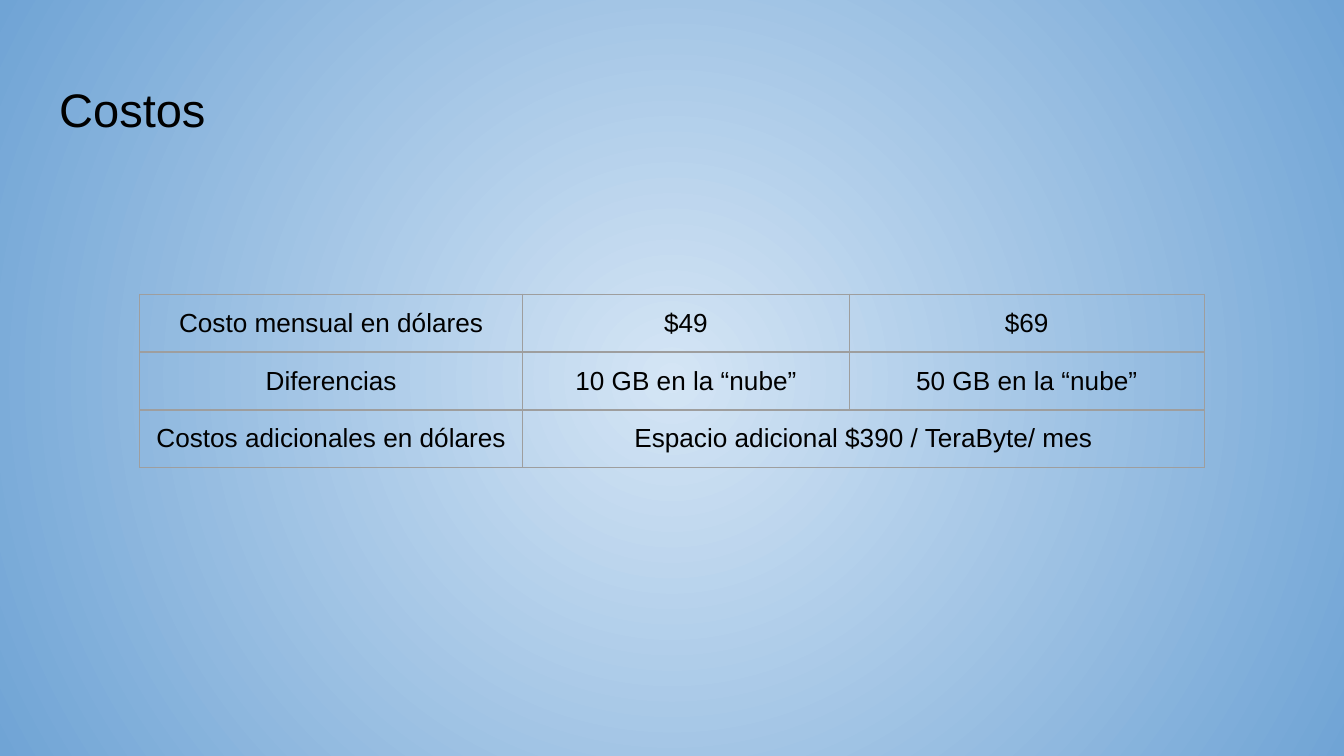
from lxml.etree import SubElement
from pptx import Presentation
from pptx.dml.color import RGBColor
from pptx.enum.text import MSO_ANCHOR as Anchor, PP_ALIGN as Align
from pptx.oxml.ns import qn
from pptx.util import Cm, Pt

COLORS = {"text": "000000", "border": "9E9E9E", "center": "D4E5F5", "edge": "70A4D5"}
COLUMN_WIDTHS = [7.24, 6.17, 6.71]
ROW_HEIGHT = 1.07
COSTS = [
    ["Costo mensual en dólares", "$49", "$69"],
    ["Diferencias", "10 GB en la “nube”", "50 GB en la “nube”"],
    ["Costos adicionales en dólares", "Espacio adicional $390 / TeraByte/ mes"],
]


class SlideBuilder:
    """Holds the style and the current slide."""

    font_name = "Arial"
    inset = Cm(0.25)
    border_width = Pt(0.75)

    def __init__(self, slide):
        self.slide = slide

    def color(self, name):
        return RGBColor.from_string(COLORS[name])

    def radial_background(self, center, edge):
        fill = self.slide.background.fill
        fill.gradient()
        for stop, name in zip(fill.gradient_stops, (center, edge)):
            stop.color.rgb = self.color(name)
        gradient = self.slide.element.find(".//" + qn("a:gradFill"))
        gradient.remove(gradient.find(qn("a:lin")))
        circle = SubElement(gradient, qn("a:path"), {"path": "circle"})
        SubElement(circle, qn("a:fillToRect"), dict.fromkeys("ltrb", "50000"))

    def add_text(self, paragraph, text, size, align):
        paragraph.alignment = align
        run = paragraph.add_run()
        run.text = text
        run.font.name = self.font_name
        run.font.size = Pt(size)
        run.font.bold = False
        run.font.color.rgb = self.color("text")

    def set_insets(self, holder):
        holder.margin_left = holder.margin_right = self.inset
        holder.margin_top = holder.margin_bottom = self.inset

    def title(self, text, left, top, width, height):
        shape = self.slide.shapes.add_textbox(Cm(left), Cm(top), Cm(width), Cm(height))
        frame = shape.text_frame
        frame.word_wrap = True
        frame.vertical_anchor = Anchor.BOTTOM
        self.set_insets(frame)
        self.add_text(frame.paragraphs[0], text, 25.2, Align.LEFT)

    def style_cell(self, cell):
        cell.vertical_anchor = Anchor.MIDDLE
        self.set_insets(cell)
        properties = cell._tc.get_or_add_tcPr()
        for side in "LRTB":
            line = SubElement(properties, qn(f"a:ln{side}"), w=str(self.border_width))
            solid = SubElement(line, qn("a:solidFill"))
            SubElement(solid, qn("a:srgbClr"), val=COLORS["border"])
        cell.fill.background()

    def table(self, rows, left, top, widths, row_height):
        shape = self.slide.shapes.add_table(
            len(rows), len(widths), Cm(left), Cm(top),
            Cm(sum(widths)), Cm(row_height * len(rows)))
        table = shape.table
        table.first_row = table.horz_banding = False
        for column, width in zip(table.columns, widths):
            column.width = Cm(width)
        for cell in table.iter_cells():
            self.style_cell(cell)
        last = len(widths) - 1
        for index, texts in enumerate(rows):
            table.rows[index].height = Cm(row_height)
            if len(texts) <= last:
                table.cell(index, len(texts) - 1).merge(table.cell(index, last))
            for position, text in enumerate(texts):
                paragraph = table.cell(index, position).text_frame.paragraphs[0]
                self.add_text(paragraph, text, 14, Align.CENTER)


def main():
    presentation = Presentation()
    presentation.slide_width = Cm(25.4)
    presentation.slide_height = Cm(14.29)
    builder = SlideBuilder(presentation.slides.add_slide(presentation.slide_layouts[6]))
    builder.radial_background("center", "edge")
    builder.title("Costos", 0.87, 1.24, 23.67, 1.6)
    builder.table(COSTS, 2.64, 5.56, COLUMN_WIDTHS, ROW_HEIGHT)
    presentation.save("out.pptx")


if __name__ == "__main__":
    main()
